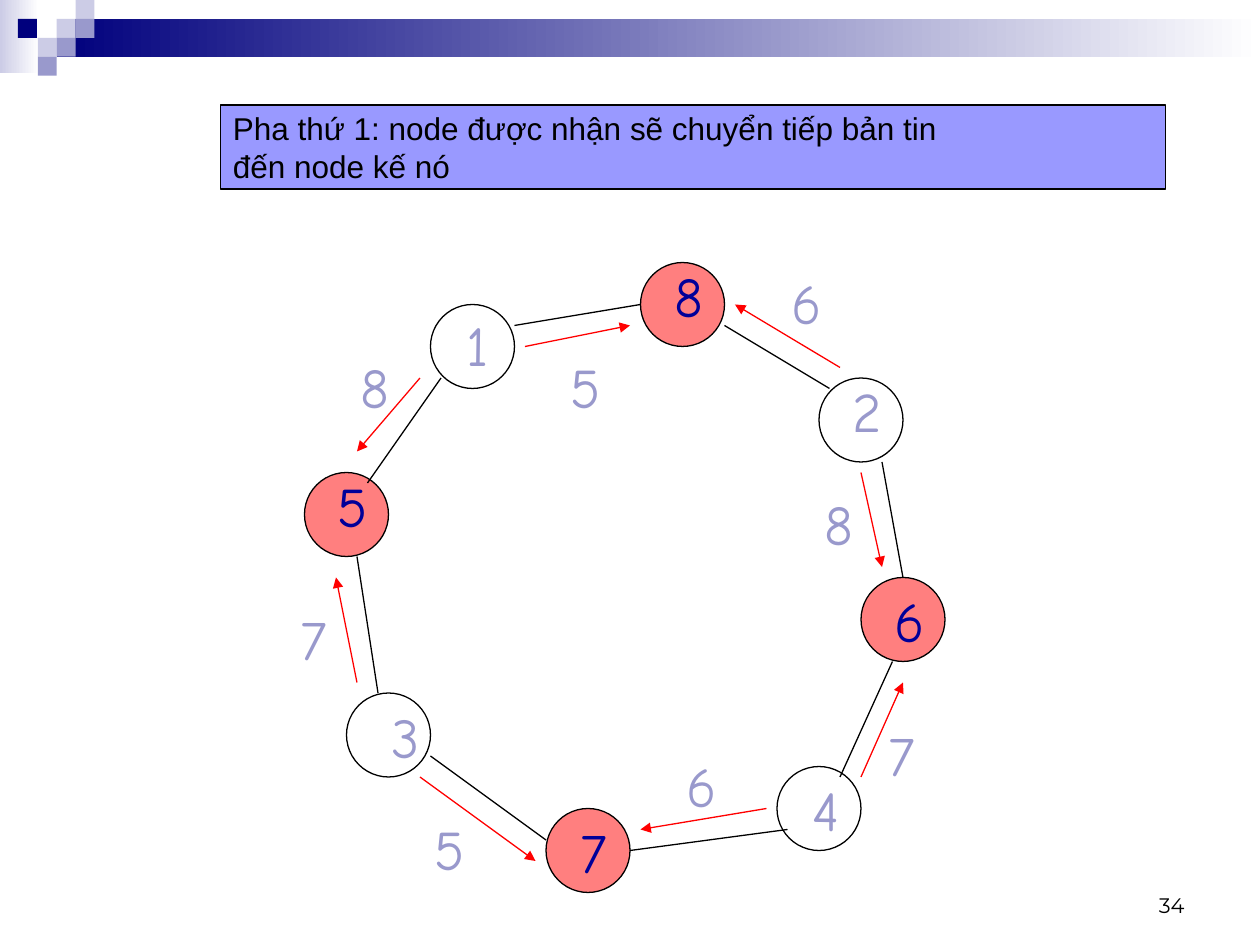
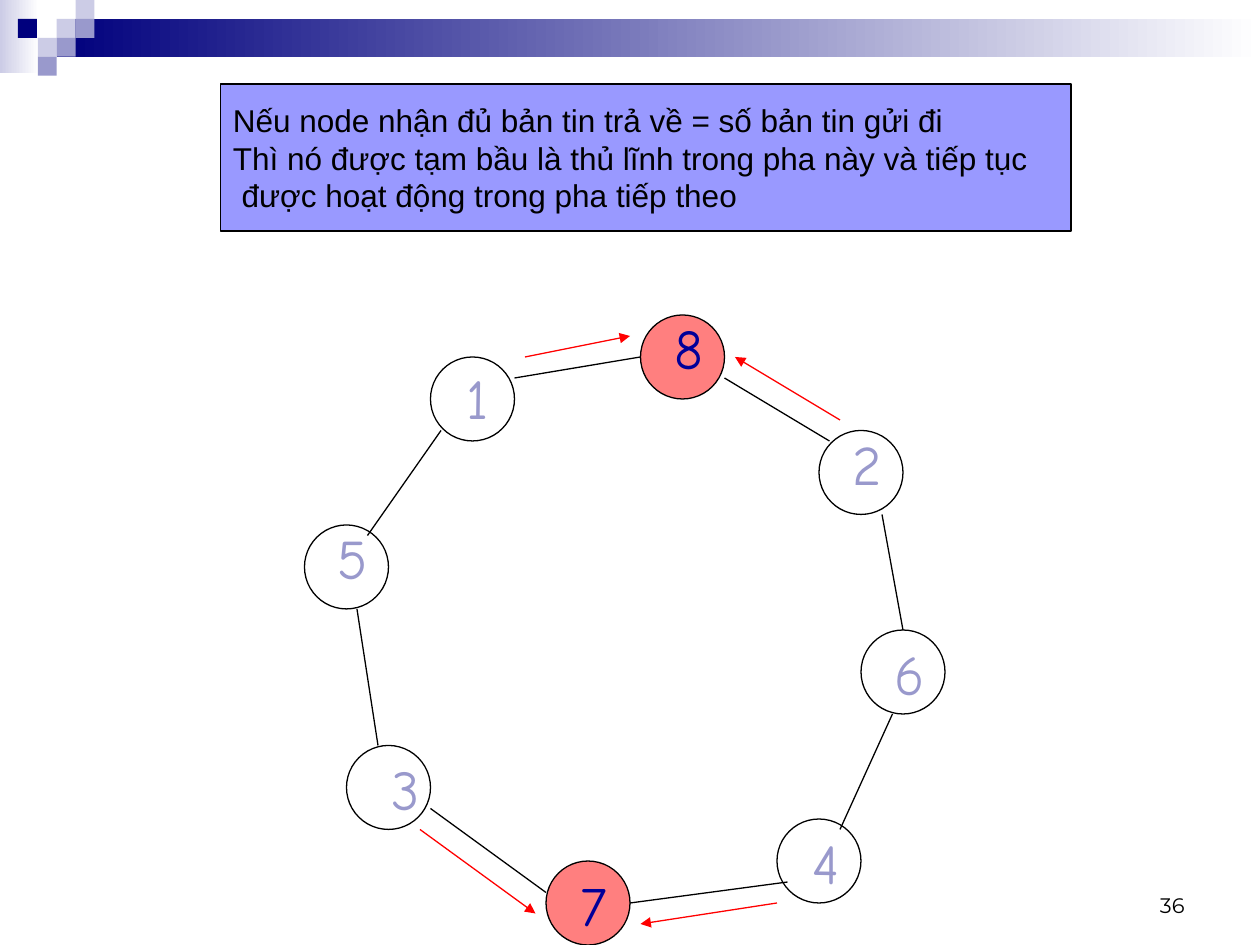
from dataclasses import dataclass
from typing import NamedTuple

from lxml import etree
from pptx import Presentation
from pptx.dml.color import RGBColor
from pptx.enum.shapes import MSO_CONNECTOR, MSO_SHAPE
from pptx.enum.text import MSO_ANCHOR, MSO_AUTO_SIZE, PP_ALIGN
from pptx.oxml.ns import qn
from pptx.util import Inches, Pt

RECTANGLE, OVAL = MSO_SHAPE.RECTANGLE, MSO_SHAPE.OVAL
STRAIGHT = MSO_CONNECTOR.STRAIGHT
TOP, MIDDLE, BOTTOM = MSO_ANCHOR.TOP, MSO_ANCHOR.MIDDLE, MSO_ANCHOR.BOTTOM
LEFT, RIGHT = PP_ALIGN.LEFT, PP_ALIGN.RIGHT
FIT_SHAPE = MSO_AUTO_SIZE.SHAPE_TO_FIT_TEXT

COLUMNS, ROWS, CELLS_PER_INCH = 120, 90, 12
TILE = 1.8
NODE_SIZE = 8
DIGIT_HEIGHT = 7.7
DIGIT_WIDTHS = {"1": 4.4, "2": 5.2, "3": 5, "4": 4.9,
                "5": 5.3, "6": 5.3, "7": 4.9, "8": 5.2}

BLACK, WHITE, RED = "000000", "FFFFFF", "FF0000"
NAVY, LAVENDER, PALE = "00007D", "9999CC", "CCCCE6"
ACTIVE_DIGIT, BANNER_FILL = "000099", "9999FF"


class Box(NamedTuple):
    left: float
    top: float
    width: float
    height: float


class Tile(NamedTuple):
    column: float
    row: int
    color: str


class Segment(NamedTuple):
    start_x: float
    start_y: float
    end_x: float
    end_y: float


class Digit(NamedTuple):
    text: str
    left: float
    top: float


class Node(NamedTuple):
    left: float
    top: float
    digit: Digit


@dataclass(frozen=True)
class RingSlide:
    number: str
    banner: Box
    lines: tuple[str, ...]
    row_shift: int
    active: str
    arrows: tuple[Segment, ...]
    messages: tuple[Digit, ...] = ()


TILES = (
    Tile(3, 1, PALE), Tile(4, 0, PALE), Tile(4, 1, LAVENDER), Tile(2, 2, PALE),
    Tile(0.95, 1, NAVY), Tile(3, 2, LAVENDER), Tile(2, 3, LAVENDER),
)
NODES = (
    Node(61, 25, Digit("8", 63.1, 24.3)),
    Node(41, 29, Digit("1", 43.2, 29)),
    Node(29, 45, Digit("5", 31, 44.3)),
    Node(33, 66, Digit("3", 36.1, 66.3)),
    Node(52, 77, Digit("7", 54.1, 77.3)),
    Node(78, 36, Digit("2", 80, 35.3)),
    Node(82, 55, Digit("6", 84, 55.3)),
    Node(74, 73, Digit("4", 76.2, 73.3)),
)
LINKS = (
    Segment(35, 46, 42, 36), Segment(49, 31, 61, 29),
    Segment(69, 31, 79, 37), Segment(84, 44, 86, 55),
    Segment(85, 63, 80, 74), Segment(75, 79, 60, 81),
    Segment(52, 80, 41, 72), Segment(36, 66, 34, 53),
)
THREE_TO_SEVEN = Segment(40, 74, 51, 82)
TWO_TO_EIGHT = Segment(80, 35, 70, 29)

SLIDES = (
    RingSlide(
        number="34",
        banner=Box(21, 10, 90, 8),
        lines=("Pha thứ 1: node được nhận sẽ chuyển tiếp bản tin",
               "đến node kế nó"),
        row_shift=0,
        active="5678",
        arrows=(
            THREE_TO_SEVEN, TWO_TO_EIGHT,
            Segment(40, 36, 34, 43), Segment(82, 45, 84, 54),
            Segment(82, 74, 86, 65), Segment(50, 33, 60, 31),
            Segment(34, 65, 32, 55), Segment(73, 77, 61, 79),
        ),
        messages=(
            Digit("8", 33.2, 33), Digit("8", 77.3, 46),
            Digit("5", 53.2, 33), Digit("5", 40.2, 77),
            Digit("7", 27.4, 57), Digit("7", 83.4, 68),
            Digit("6", 64.2, 71), Digit("6", 74.2, 25),
        ),
    ),
    RingSlide(
        number="36",
        banner=Box(21, 8, 81, 14),
        lines=("Nếu node nhận đủ bản tin trả về = số bản tin gửi đi",
               "Thì nó được tạm bầu là thủ lĩnh trong pha này và tiếp tục",
               " được hoạt động trong pha tiếp theo"),
        row_shift=5,
        active="78",
        arrows=(
            THREE_TO_SEVEN, TWO_TO_EIGHT,
            Segment(50, 29, 60, 27), Segment(74, 81, 61, 83),
        ),
    ),
)


def rgb(color: str) -> RGBColor:
    return RGBColor.from_string(color)


def cells(*values: float) -> list[int]:
    return [Inches(value / CELLS_PER_INCH) for value in values]


def add_shape(slide, kind, box: Box, fill=None, line=None, opacity=None):
    shape = slide.shapes.add_shape(kind, *cells(*box))
    shape.shadow.inherit = False
    if fill is None:
        shape.fill.background()
    elif isinstance(fill, tuple):
        shape.fill.gradient()
        shape.fill.gradient_angle = 0
        for stop, color in zip(shape.fill.gradient_stops, fill):
            stop.color.rgb = rgb(color)
    else:
        shape.fill.solid()
        shape.fill.fore_color.rgb = rgb(fill)
    if opacity is not None:
        color_element = shape.fill._xPr.find(qn("a:solidFill"))[0]
        etree.SubElement(color_element, qn("a:alpha"), val=str(opacity * 1000))
    if line is None:
        shape.line.fill.background()
    else:
        shape.line.color.rgb = rgb(line)
        shape.line.width = Pt(0.75)
    return shape


def write_text(shape, *lines: str, font: str, size: float, color: str = BLACK,
               align=LEFT, anchor=TOP, wrap: bool = False,
               space_before: float = 0, auto_size=None) -> None:
    frame = shape.text_frame
    frame.word_wrap = wrap
    frame.vertical_anchor = anchor
    if auto_size is not None:
        frame.auto_size = auto_size
    for index, line in enumerate(lines):
        paragraph = frame.add_paragraph() if index else frame.paragraphs[0]
        paragraph.alignment = align
        paragraph.space_before = Pt(space_before)
        run = paragraph.add_run()
        run.text = line
        run.font.name = font
        run.font.size = Pt(size)
        run.font.color.rgb = rgb(color)


def add_text(slide, text: str, box: Box, **text_format) -> None:
    write_text(slide.shapes.add_textbox(*cells(*box)), text, **text_format)


def add_segment(slide, segment: Segment, row_shift: int, color: str = BLACK,
                arrow: bool = False) -> None:
    ends = cells(segment.start_x, segment.start_y + row_shift,
                 segment.end_x, segment.end_y + row_shift)
    connector = slide.shapes.add_connector(STRAIGHT, *ends)
    connector.line.color.rgb = rgb(color)
    connector.line.width = Pt(0.75)
    if arrow:
        line_element = connector.line._get_or_add_ln()
        etree.SubElement(line_element, qn("a:tailEnd"), type="triangle")
    etree.SubElement(connector._element.spPr, qn("a:effectLst"))


def add_digit(slide, digit: Digit, row_shift: int, color: str = LAVENDER) -> None:
    box = Box(digit.left, digit.top + row_shift,
              DIGIT_WIDTHS[digit.text], DIGIT_HEIGHT)
    add_text(slide, digit.text, box, font="Comic Neue", size=32, color=color,
             space_before=8, auto_size=FIT_SHAPE)


def add_frame(slide, number: str) -> None:
    add_shape(slide, RECTANGLE, Box(0, 0, 3.7, 7), fill=(PALE, WHITE))
    band = Box(3 * TILE, TILE, COLUMNS - 3 * TILE, 2 * TILE)
    add_shape(slide, RECTANGLE, band, fill=(NAVY, WHITE))
    for tile in TILES:
        box = Box(tile.column * TILE, tile.row * TILE, TILE, TILE)
        add_shape(slide, RECTANGLE, box, fill=tile.color)
    add_text(slide, number, Box(86, 82, 28, 6), font="Montserrat", size=12,
             align=RIGHT, anchor=BOTTOM, wrap=True)


def add_ring(slide, content: RingSlide) -> None:
    shift = content.row_shift
    for node in NODES:
        active = node.digit.text in content.active
        box = Box(node.left, node.top + shift, NODE_SIZE, NODE_SIZE)
        add_shape(slide, OVAL, box, fill=RED if active else None, line=BLACK,
                  opacity=50 if active else None)
    for link in LINKS:
        add_segment(slide, link, shift)
    for node in NODES:
        active = node.digit.text in content.active
        add_digit(slide, node.digit, shift, ACTIVE_DIGIT if active else LAVENDER)
    for arrow in content.arrows:
        add_segment(slide, arrow, shift, color=RED, arrow=True)
    for message in content.messages:
        add_digit(slide, message, shift)


def add_banner(slide, content: RingSlide) -> None:
    banner = add_shape(slide, RECTANGLE, content.banner, fill=BANNER_FILL, line=BLACK)
    write_text(banner, *content.lines, font="Arial", size=18, anchor=MIDDLE)


def main() -> None:
    presentation = Presentation()
    presentation.slide_width, presentation.slide_height = cells(COLUMNS, ROWS)
    blank_layout = presentation.slide_layouts[6]
    for content in SLIDES:
        slide = presentation.slides.add_slide(blank_layout)
        add_frame(slide, content.number)
        add_ring(slide, content)
        add_banner(slide, content)
    presentation.save("out.pptx")


if __name__ == "__main__":
    main()
